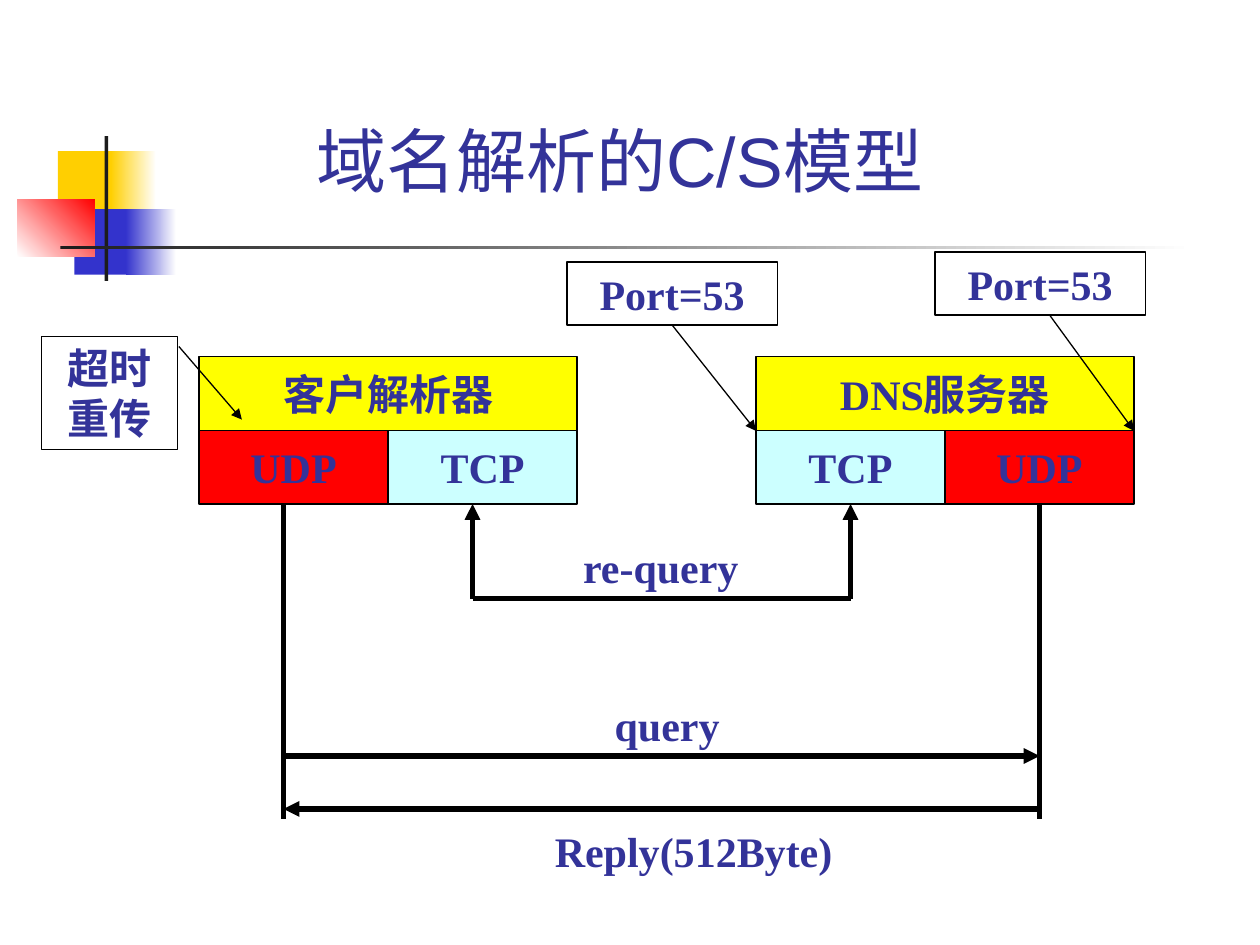
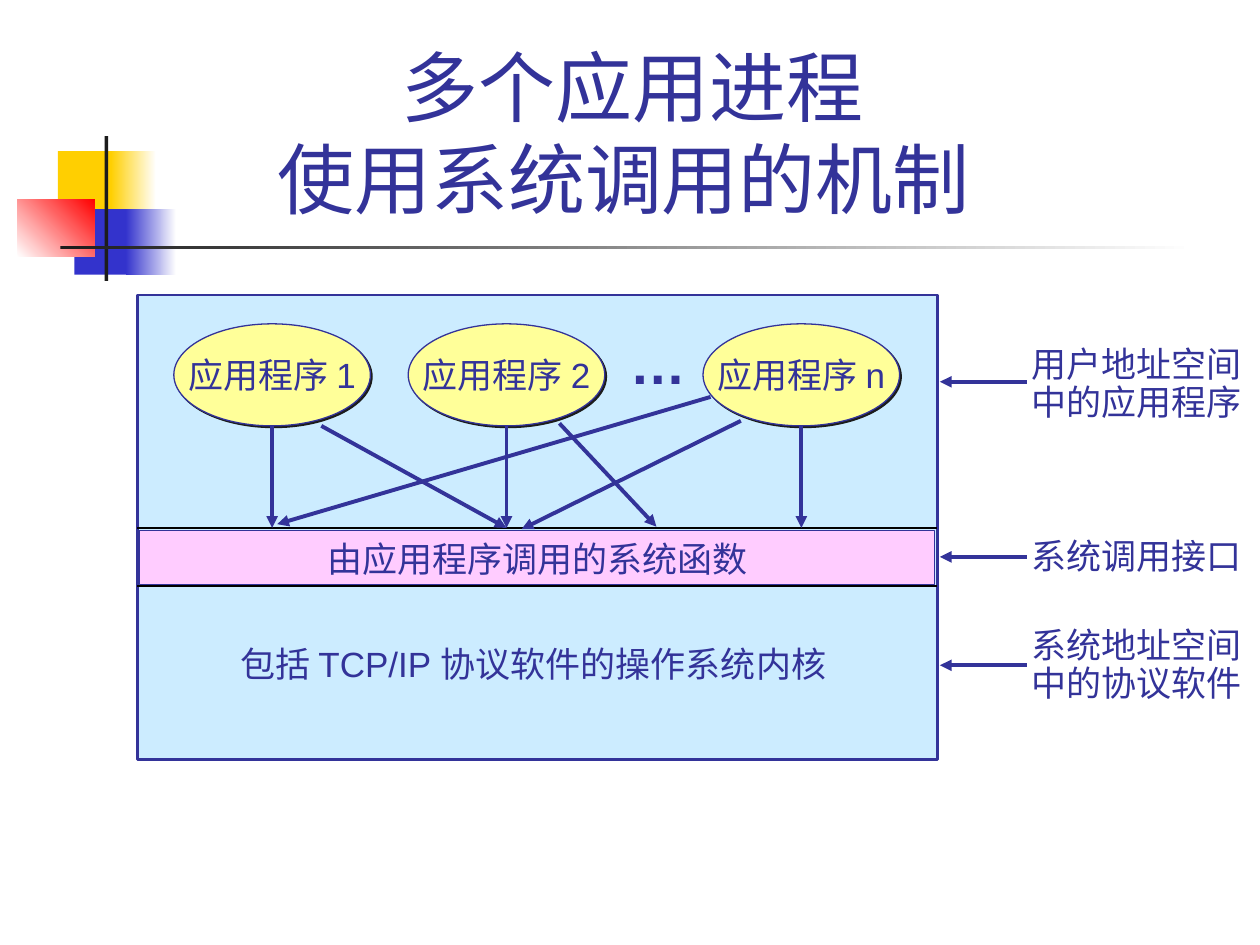
from lxml import etree
from pptx import Presentation
from pptx.dml.color import RGBColor
from pptx.enum.shapes import MSO_CONNECTOR, MSO_SHAPE
from pptx.enum.text import MSO_ANCHOR as ANCHOR, PP_ALIGN as ALIGN
from pptx.oxml.ns import qn
from pptx.util import Inches, Pt

COLORS = {
    "text": "333399", "black": "000000", "white": "FFFFFF", "dark": "1C1C1C",
    "gold": "FFCF01", "blue": "3333CC", "red": "FF0000", "yellow": "FFFF00",
    "cyan": "CCFFFF", "sky": "CCECFF", "cream": "FFFF99", "pink": "FFCCFF",
}
SANS, SERIF = "Arial", "Times New Roman"
LABEL = dict(size=24, font=SERIF, bold=True, align=ALIGN.CENTER)


def rgb(name):
    return RGBColor.from_string(COLORS[name])


def write(sp, text, size=20, font=SANS, bold=False, align=ALIGN.LEFT,
          anchor=ANCHOR.TOP, wrap=True, spacing=None, breaks=False):
    tf = sp.text_frame
    tf.word_wrap = wrap
    tf.vertical_anchor = anchor
    for i, line in enumerate(text.split("\n")):
        p = tf.paragraphs[0] if i == 0 or breaks else tf.add_paragraph()
        if i and breaks:
            p.add_line_break()
        p.alignment = align
        if spacing:
            p.line_spacing = spacing
        r = p.add_run()
        r.text = line
        r.font.size, r.font.name, r.font.bold = Pt(size), font, bold
        r.font.color.rgb = rgb("text")


def text_box(s, box, text, **fmt):
    sp = s.shapes.add_textbox(*map(Inches, box))
    write(sp, text, **fmt)
    return sp


def add_shape(s, box, fill=None, fade=None, angle=0, line=None, width=0.75,
              kind=MSO_SHAPE.RECTANGLE):
    sp = s.shapes.add_shape(kind, *map(Inches, box))
    sp.shadow.inherit = False
    if fade:
        sp.fill.gradient()
        sp.fill.gradient_angle = angle
        for stop, name in zip(sp.fill.gradient_stops, fade):
            stop.color.rgb = rgb(name)
    elif fill:
        sp.fill.solid()
        sp.fill.fore_color.rgb = rgb(fill)
    else:
        sp.fill.background()
    if line:
        sp.line.color.rgb = rgb(line)
        sp.line.width = Pt(width)
    else:
        sp.line.fill.background()
    return sp


def connect(s, start, end, color="black", width=3, arrow=False,
            begin=None, finish=None):
    c = s.shapes.add_connector(MSO_CONNECTOR.STRAIGHT, *map(Inches, start + end))
    if begin:
        c.begin_connect(*begin)
    if finish:
        c.end_connect(*finish)
    c.line.color.rgb = rgb(color)
    c.line.width = Pt(width)
    if arrow:
        ln = c.line._get_or_add_ln()
        etree.SubElement(ln, qn("a:tailEnd"), type="triangle")
    etree.SubElement(c._element.spPr, qn("a:effectLst"))
    return c


def titled_slide(prs, title, box, size):
    s = prs.slides.add_slide(prs.slide_layouts[6])
    add_shape(s, (0.46, 1.2, 0.48, 0.52), "gold")
    add_shape(s, (0.88, 1.2, 0.36, 0.52), fade=("gold", "white"))
    add_shape(s, (0.59, 1.66, 0.46, 0.52), "blue")
    add_shape(s, (1, 1.66, 0.4, 0.52), fade=("blue", "white"))
    add_shape(s, (0.14, 1.58, 0.61, 0.46), fade=("white", "red"), angle=45)
    add_shape(s, (0.83, 1.08, 0.03, 1.15), "dark")
    add_shape(s, (0.48, 1.95, 9, 0.03), fade=("dark", "white"))
    text_box(s, box, title, size=size, align=ALIGN.CENTER,
             anchor=ANCHOR.BOTTOM, breaks=True)
    return s


def host(s, box, name, protocols):
    x, y, w, h = box
    half, row = w / 2, h / 2
    cells = [(name, "yellow", (x, y, w, row))]
    for i, protocol in enumerate(protocols):
        fill = {"UDP": "red", "TCP": "cyan"}[protocol]
        cells.append((protocol, fill, (x + i * half, y + row, half, row)))
    parts = {}
    for text, fill, cell in cells:
        parts[text] = add_shape(s, cell, fill, line="black")
        write(parts[text], text, anchor=ANCHOR.MIDDLE, wrap=False, **LABEL)
    return parts


def callout(s, box, text, start, end, joined=False):
    sp = add_shape(s, box, line="black")
    write(sp, text, **LABEL)
    connect(s, start, end, width=0.75, arrow=True,
            begin=(sp, 2) if joined else None)


def exchange(s, box, server):
    x, y, w, h = box
    right, query, reply = x + w, y + 2, y + 2.42
    connect(s, (x, y), (x, y + h))
    connect(s, (right, y), (right, y + h), begin=(server["UDP"], 2))
    connect(s, (x, query), (right, query), arrow=True)
    connect(s, (right, reply), (x, reply), arrow=True)
    left, mid, turn = x + 1.5, x + 4.5, y + 0.75
    connect(s, (left, turn), (left, y), arrow=True)
    connect(s, (mid, turn), (mid, y), arrow=True, finish=(server["TCP"], 2))
    connect(s, (left, turn), (mid, turn))
    for dx, dy, width, text in [(2.08, 0.25, 1.83, "re-query"),
                                (1.92, 1.5, 2.25, "query"),
                                (1.92, 2.5, 2.67, "Reply(512Byte)")]:
        text_box(s, (x + dx, y + dy, width, 0.5), text, **LABEL)


def client_server_slide(prs):
    s = titled_slide(prs, "域名解析的C/S模型", (0.67, 0.92, 8.5, 0.73), 40)
    host(s, (1.58, 2.83, 3, 1.17), "客户解析器", ("UDP", "TCP"))
    server = host(s, (6, 2.83, 3, 1.17), "DNS服务器", ("TCP", "UDP"))
    exchange(s, (2.25, 4, 6, 2.5), server)
    callout(s, (0.33, 2.67, 1.08, 0.9), "超时重传", (1.42, 2.75), (1.92, 3.33))
    callout(s, (4.5, 2.08, 1.67, 0.5), "Port=53", (5.33, 2.58), (6, 3.42),
            joined=True)
    callout(s, (7.42, 2, 1.67, 0.5), "Port=53", (8.33, 2.5), (9, 3.42))


def application(s, box, text):
    sp = add_shape(s, box, "cream", line="text", kind=MSO_SHAPE.OVAL)
    effects = sp._element.spPr.find(qn("a:effectLst"))
    shadow = etree.SubElement(effects, qn("a:outerShdw"), dist=str(Pt(1.4)),
                              dir="2700000", algn="ctr", rotWithShape="0")
    etree.SubElement(shadow, qn("a:srgbClr"), val=COLORS["dark"])
    write(sp, text, align=ALIGN.CENTER, anchor=ANCHOR.MIDDLE, wrap=False)


def system_stack(s, box):
    x, y, w, h = box
    top, bottom = y + 1.85, y + 2.31
    add_shape(s, box, "sky", line="text", width=1.5)
    for dx, name in [(0.29, "1"), (2.15, "2"), (4.49, "n")]:
        application(s, (x + dx, y + 0.23, 1.56, 0.81), f"应用程序 {name}")
    text_box(s, (x + 3.81, y + 0.22, 0.64, 0.64), "…", size=32, bold=True,
             wrap=False)
    for edge in (top, bottom):
        connect(s, (x, edge), (x + w, edge), width=0.75)
    add_shape(s, (x + 0.02, top + 0.02, w - 0.04, 0.43), "pink", line="text")
    text_box(s, (x + 1.41, y + 1.88, 3.54, 0.44), "由应用程序调用的系统函数",
             wrap=False)
    text_box(s, (x + 0.72, y + 2.71, 4.99, 0.44),
             "包括 TCP/IP 协议软件的操作系统内核", wrap=False)
    calls = [((dx, 1.04), (dx, 1.85)) for dx in (1.07, 2.93, 5.27)]
    calls += [((1.46, 1.04), (2.93, 1.85)), ((4.79, 1), (3.05, 1.86)),
              ((4.55, 0.81), (1.11, 1.82)), ((3.35, 1.02), (4.12, 1.84))]
    for (x1, y1), (x2, y2) in calls:
        connect(s, (x + x1, y + y1), (x + x2, y + y2), "text", 2.25, True)


def side_note(s, box, text, arrow_y, spacing=None):
    x, y = box[:2]
    text_box(s, box, text, wrap=False, spacing=spacing)
    connect(s, (x + 0.06, y + arrow_y), (x - 0.63, y + arrow_y),
            "text", 2.25, True)


def system_call_slide(prs):
    s = titled_slide(prs, "多个应用进程\n使用系统调用的机制 ",
                     (1.26, 0.23, 7.52, 1.6), 44)
    system_stack(s, (1.09, 2.34, 6.35, 3.69))
    side_note(s, (8.09, 2.71, 1.87, 0.7), "用户地址空间\n中的应用程序", 0.32, 0.9)
    side_note(s, (8.09, 4.19, 1.87, 0.44), "系统调用接口", 0.23)
    side_note(s, (8.09, 4.94, 1.87, 0.7), "系统地址空间\n中的协议软件", 0.34, 0.9)


def main():
    prs = Presentation()
    prs.slide_width, prs.slide_height = Inches(10), Inches(7.5)
    client_server_slide(prs)
    system_call_slide(prs)
    prs.save("out.pptx")


if __name__ == "__main__":
    main()
